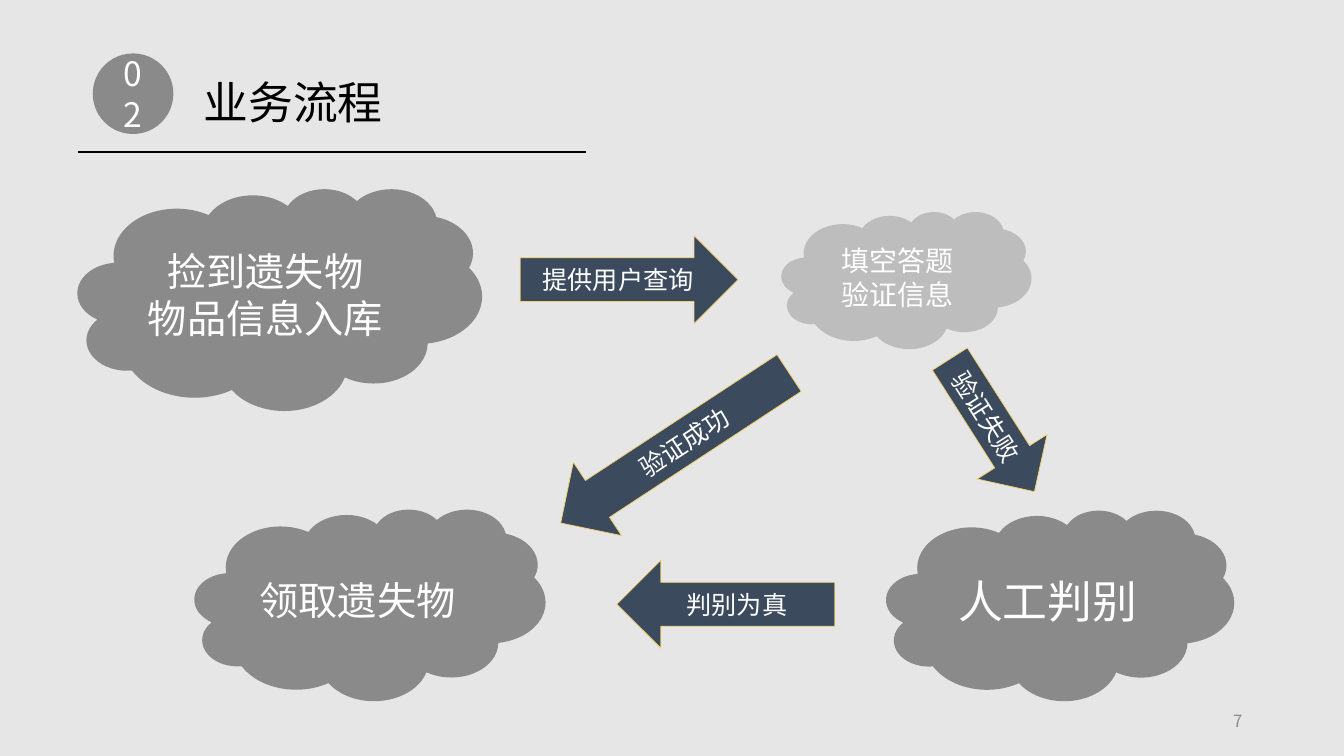
from lxml import etree
from pptx import Presentation
from pptx import util as u
from pptx.dml.color import RGBColor
from pptx.enum import shapes, text
from pptx.oxml import ns

PX = 9144  # EMU per px, 100 px to the inch
FONT = "Noto Sans CJK SC"
BLACK, WHITE, GREY = "000000", "FFFFFF", "808080"
NAVY, GOLD = "3C4A5E", "F5CF66"
SHAPE = shapes.MSO_SHAPE
ALIGN = text.PP_ALIGN
MIDDLE = text.MSO_ANCHOR.MIDDLE


def rgb(value):
    return RGBColor.from_string(value)


def px(*lengths):
    return [u.Emu(n * PX) for n in lengths]


def write(shape, lines, size, color=WHITE, align=ALIGN.CENTER, **frame):
    tf = shape.text_frame
    settings = {"word_wrap": True, "vertical_anchor": MIDDLE, **frame}
    for name, value in settings.items():
        setattr(tf, name, value)
    for i, line in enumerate(lines):
        p = tf.add_paragraph() if i else tf.paragraphs[0]
        p.alignment = align
        r = p.add_run()
        r.text = line
        for name, value in {"size": u.Pt(size), "name": FONT}.items():
            setattr(r.font, name, value)
        r.font.color.rgb = rgb(color)
        ea = etree.SubElement(r.font._element, ns.qn("a:ea"))
        ea.set("typeface", FONT)


def add_filled(s, kind, box, fill):
    sp = s.shapes.add_shape(kind, *px(*box))
    sp.shadow.inherit = False
    sp.fill.solid()
    sp.fill.fore_color.rgb = rgb(fill)
    return sp


def add_glass(s, kind, box, lines, size, fill=BLACK):
    """Borderless shape with a 40 % opaque fill."""
    sp = add_filled(s, kind, box, fill)
    sp.line.fill.background()
    color = sp._element.spPr.find(".//" + ns.qn("a:srgbClr"))
    etree.SubElement(color, ns.qn("a:alpha")).set("val", "40000")
    write(sp, lines, size)


def add_arrow(s, box, label, rotation=0, flips=()):
    sp = add_filled(s, SHAPE.RIGHT_ARROW, box, NAVY)
    sp.line.color.rgb = rgb(GOLD)
    sp.line.width = u.Pt(0.5)
    sp.rotation = rotation
    for flip in flips:
        sp._element.spPr.find(ns.qn("a:xfrm")).set(flip, "1")
    write(sp, [label], 18)


def add_label(s, box, label, size, color, align, **frame):
    write(s.shapes.add_textbox(*px(*box)), [label], size, color, align, **frame)


def add_rule(s, x1, y1, x2, y2):
    line = s.shapes.add_connector(shapes.MSO_CONNECTOR.STRAIGHT, *px(x1, y1, x2, y2))
    line.line.color.rgb = rgb(BLACK)
    line.line.width = u.Pt(1)
    etree.SubElement(line._element.spPr, ns.qn("a:effectLst"))


def main():
    prs = Presentation()
    prs.slide_width, prs.slide_height = px(1333, 750)
    s = prs.slides.add_slide(prs.slide_layouts[6])
    s.background.fill.solid()
    s.background.fill.fore_color.rgb = rgb("E7E6E6")

    # Heading
    add_glass(s, SHAPE.OVAL, (92, 53, 80, 80), ["02"], 24)
    add_label(s, (192, 69, 200, 64), "业务流程", 32, BLACK, ALIGN.LEFT,
              word_wrap=False, vertical_anchor=text.MSO_ANCHOR.TOP,
              auto_size=text.MSO_AUTO_SIZE.SHAPE_TO_FIT_TEXT)
    add_rule(s, 77, 151, 581, 151)

    # Process steps
    for box, lines, size, fill in (
        ((77, 187, 401, 220), ["捡到遗失物", "物品信息入库"], 28, BLACK),
        ((193, 505, 348, 190), ["领取遗失物"], 28, BLACK),
        ((879, 506, 345, 189), ["人工判别"], 32, BLACK),
        ((775, 210, 248, 136), ["填空答题", "验证信息"], 20, GREY),
    ):
        add_glass(s, SHAPE.CLOUD, box, lines, size, fill)

    # Transitions between steps
    add_arrow(s, (516, 234, 216, 87), "提供用户查询")
    add_arrow(s, (534, 401, 271, 87), "验证成功", 326.7, ["flipH"])
    add_arrow(s, (906, 381, 156, 82), "验证失败", 237.5, ["flipH", "flipV"])
    add_arrow(s, (612, 556, 216, 87), "判别为真", flips=["flipH"])

    # Page number
    add_label(s, (942, 695, 300, 40), "7", 12, "8C8C8C", ALIGN.RIGHT)

    prs.save("out.pptx")


if __name__ == "__main__":
    main()
